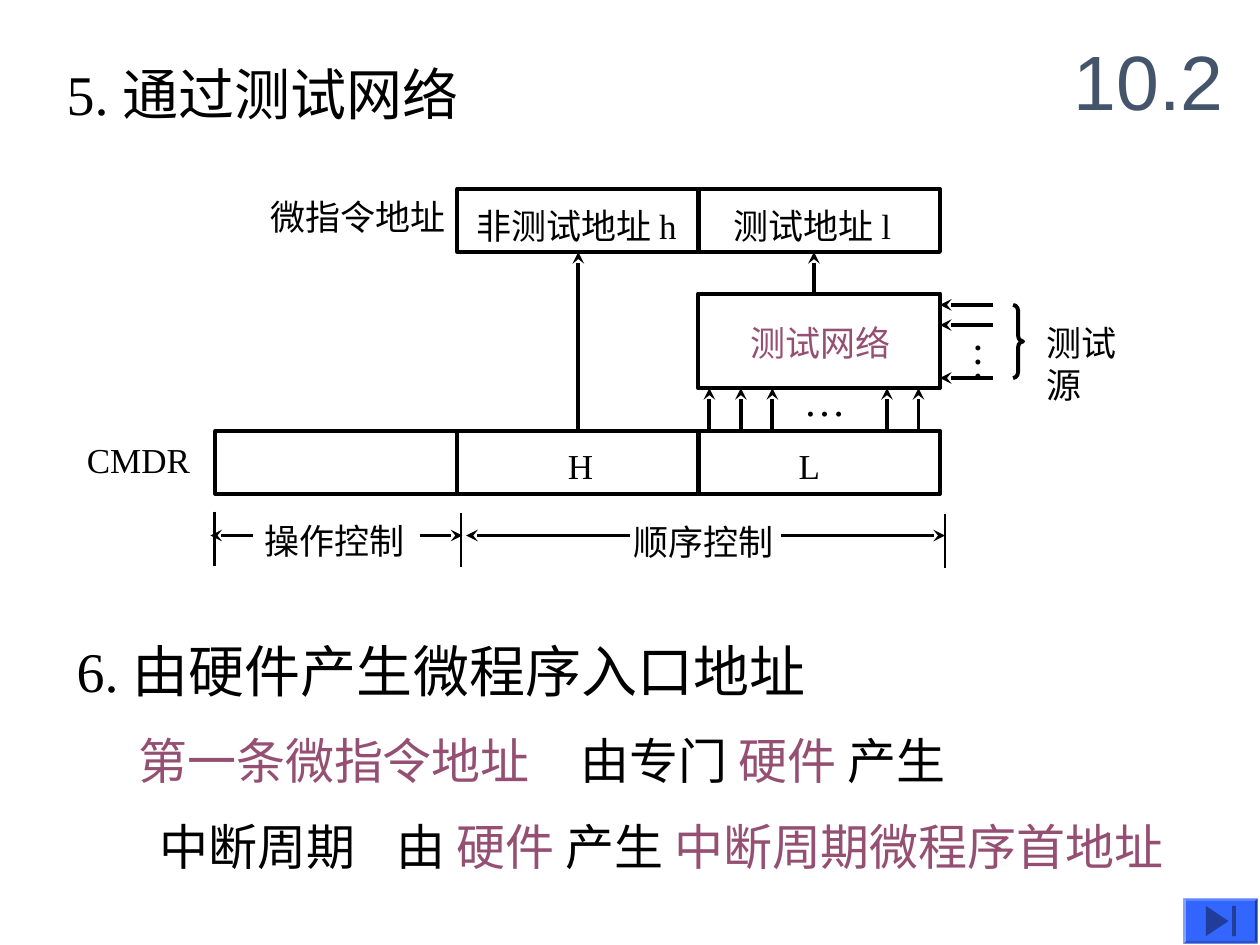
from dataclasses import dataclass

from lxml import etree
from pptx import Presentation
from pptx.dml.color import RGBColor
from pptx.enum import shapes, text
from pptx.oxml.ns import qn
from pptx.util import Inches, Pt

COLORS = {
    "ink": "000000",
    "accent": "954F72",
    "title": "44546A",
    "button": "3366FF",
    "icon": "1F3D99",
}
SERIF, SANS = "Times New Roman", "DejaVu Sans"
CELL_W, CELL_H = 1.92, 0.5
COLUMNS = (1.71, 3.63, 5.54)
ADDRESS_Y, NETWORK_Y, CMDR_Y = 1.5, 2.33, 3.42
NETWORK_H = 0.75
SPAN_Y = 4.25


@dataclass
class Span:
    text: str
    color: str = "ink"
    font: str = SANS


@dataclass
class Line:
    x: float
    y: float
    w: float
    h: float
    size: float
    spans: tuple[Span, ...]
    tab: float | None = None


@dataclass
class Label:
    text: str
    x: float
    y: float
    w: float
    h: float = 0.44
    size: float = 20
    color: str = "ink"
    vertical: bool = False


@dataclass
class Arrow:
    x1: float
    y1: float
    x2: float
    y2: float


def rgb(name: str) -> RGBColor:
    return RGBColor.from_string(COLORS[name])


def style_run(r, size: float, color: str, font: str) -> None:
    r.font.size = Pt(size)
    r.font.name = font
    r.font.color.rgb = rgb(color)


def add_line(slide, line: Line) -> None:
    """Text line made of differently styled spans, with an optional tab stop."""
    sp = slide.shapes.add_textbox(*map(Inches, (line.x, line.y, line.w, line.h)))
    tf = sp.text_frame
    tf.word_wrap = True
    p = tf.paragraphs[0]
    if line.tab is not None:
        tabs = etree.SubElement(p._p.get_or_add_pPr(), qn("a:tabLst"))
        etree.SubElement(tabs, qn("a:tab"), pos=str(Inches(line.tab)), algn="l")
    for span in line.spans:
        r = p.add_run()
        r.text = span.text
        style_run(r, line.size, span.color, span.font)


def add_label(slide, label: Label) -> None:
    sp = slide.shapes.add_textbox(*map(Inches, (label.x, label.y, label.w, label.h)))
    tf = sp.text_frame
    tf.word_wrap = False
    if label.vertical:
        tf._txBody.bodyPr.set("vert", "eaVert")
        tf.margin_left = tf.margin_right = Inches(0.05)
        tf.margin_top = tf.margin_bottom = Inches(0.1)
    tf.text = label.text
    style_run(tf.paragraphs[0].runs[0], label.size, label.color, SERIF)


def add_outline(slide, kind, x: float, y: float, w: float, h: float):
    sp = slide.shapes.add_shape(kind, *map(Inches, (x, y, w, h)))
    sp.shadow.inherit = False
    sp.fill.background()
    sp.line.color.rgb = rgb("ink")
    sp.line.width = Pt(2.25)
    return sp


def add_rule(slide, a: Arrow, width: float = 2.25, head: bool = True):
    cxn = slide.shapes.add_connector(
        shapes.MSO_CONNECTOR.STRAIGHT, *map(Inches, (a.x1, a.y1, a.x2, a.y2)))
    cxn.line.color.rgb = rgb("ink")
    cxn.line.width = Pt(width)
    if head:
        etree.SubElement(cxn.line._get_or_add_ln(), qn("a:tailEnd"), type="stealth")
    etree.SubElement(cxn._element.spPr, qn("a:effectLst"))
    return cxn


def fill_plain(sp, color: str) -> None:
    sp.shadow.inherit = False
    sp.fill.solid()
    sp.fill.fore_color.rgb = rgb(color)
    sp.line.fill.background()


def add_next_button(slide) -> None:
    kinds = shapes.MSO_SHAPE
    button = slide.shapes.add_shape(kinds.BEVEL, *map(Inches, (9.39, 7.13, 0.59, 0.36)))
    button.adjustments[0] = 0.06
    fill_plain(button, "button")
    builder = slide.shapes.build_freeform(Inches(9.75), Inches(7.31))
    builder.add_line_segments(
        [(Inches(9.57), Inches(7.43)), (Inches(9.57), Inches(7.19))], close=True)
    fill_plain(builder.convert_to_shape(), "icon")
    bar = slide.shapes.add_shape(kinds.RECTANGLE, *map(Inches, (9.78, 7.19, 0.03, 0.24)))
    fill_plain(bar, "icon")


LINES = (
    Line(0.43, 0.42, 7.95, 0.64, 32, (Span("5. ", font=SERIF), Span("通过测试网络"))),
    Line(0.51, 5, 6.99, 0.64, 32,
         (Span("6. 由硬件产生", font=SERIF), Span("微程序入口地址"))),
    Line(1, 5.75, 8.5, 0.57, 28,
         (Span("第一条微指令地址", "accent"), Span("\t由专门 "),
          Span("硬件 ", "accent"), Span("产生")), tab=3.51),
    Line(1.17, 6.43, 8.5, 0.57, 28,
         (Span("中断周期\t由 "), Span("硬件 ", "accent"), Span("产生 "),
          Span("中断周期微程序首地址", "accent")), tab=1.88),
)

LABELS = (
    Label("微指令地址", 2.05, 1.5, 1.59),
    Label("非测试地址 h", 3.68, 1.57, 1.86),
    Label("测试地址 l", 5.72, 1.57, 1.52),
    Label("测试网络", 5.86, 2.5, 1.31, color="accent"),
    Label("测试源", 8.21, 2.5, 1.03),
    Label("…", 6.28, 2.92, 0.53, 0.5, 24),
    Label("…", 7.53, 2.61, 0.6, 0.44, 24, vertical=True),
    Label("CMDR", 0.59, 3.43, 1.02),
    Label("H", 4.41, 3.48, 0.4),
    Label("L", 6.24, 3.48, 0.37),
    Label("操作控制", 2, 4.07, 1.31),
    Label("顺序控制", 4.93, 4.08, 1.31),
)

ARROWS = (
    # CMDR field L into the test network
    *(Arrow(x, CMDR_Y, x, NETWORK_Y + NETWORK_H) for x in (5.63, 5.88, 6.13, 7.04, 7.29)),
    # Test network into the tested address
    Arrow(6.46, NETWORK_Y, 6.46, ADDRESS_Y + CELL_H),
    # Test sources into the test network
    *(Arrow(7.88, y, 7.46, y) for y in (2.42, 2.58, 3)),
    # Extents of the control fields
    *(Arrow(x1, SPAN_Y, x2, SPAN_Y)
      for x1, x2 in ((2.01, 1.67), (3.33, 3.67), (5, 3.7), (6.2, 7.5))),
)


def main() -> None:
    prs = Presentation()
    prs.slide_width, prs.slide_height = Inches(10), Inches(7.5)
    slide = prs.slides.add_slide(prs.slide_layouts[5])

    # Section number
    title = slide.shapes.title
    title.left, title.top, title.width, title.height = map(Inches, (8.42, 0.17, 1.58, 0.92))
    tf = title.text_frame
    tf.text = "10.2"
    tf.auto_size = text.MSO_AUTO_SIZE.NONE
    tf.vertical_anchor = text.MSO_ANCHOR.MIDDLE
    tf.paragraphs[0].alignment = text.PP_ALIGN.LEFT
    style_run(tf.paragraphs[0].runs[0], 44, "title", "Arial")

    # Headings and statements
    for line in LINES:
        add_line(slide, line)

    # Registers and test network
    rect = shapes.MSO_SHAPE.RECTANGLE
    address = [add_outline(slide, rect, x, ADDRESS_Y, CELL_W, CELL_H) for x in COLUMNS[1:]]
    cmdr = [add_outline(slide, rect, x, CMDR_Y, CELL_W, CELL_H) for x in COLUMNS]
    add_outline(slide, rect, COLUMNS[2], NETWORK_Y, CELL_W, NETWORK_H)
    brace = add_outline(slide, shapes.MSO_SHAPE.RIGHT_BRACE, 8.04, 2.42, 0.08, 0.58)
    brace.adjustments[0] = 0.58

    # Arrows and extent ticks
    for arrow in ARROWS:
        add_rule(slide, arrow)
    direct = add_rule(slide, Arrow(4.59, CMDR_Y, 4.59, ADDRESS_Y + CELL_H))
    direct.begin_connect(cmdr[1], 0)
    direct.end_connect(address[0], 2)
    for x, y in ((1.7, 4.06), (3.66, 4.07), (7.5, 4.08)):
        add_rule(slide, Arrow(x, y, x, y + 0.43), width=1.5, head=False)

    # Labels
    for label in LABELS:
        add_label(slide, label)

    add_next_button(slide)
    prs.save("out.pptx")


if __name__ == "__main__":
    main()
